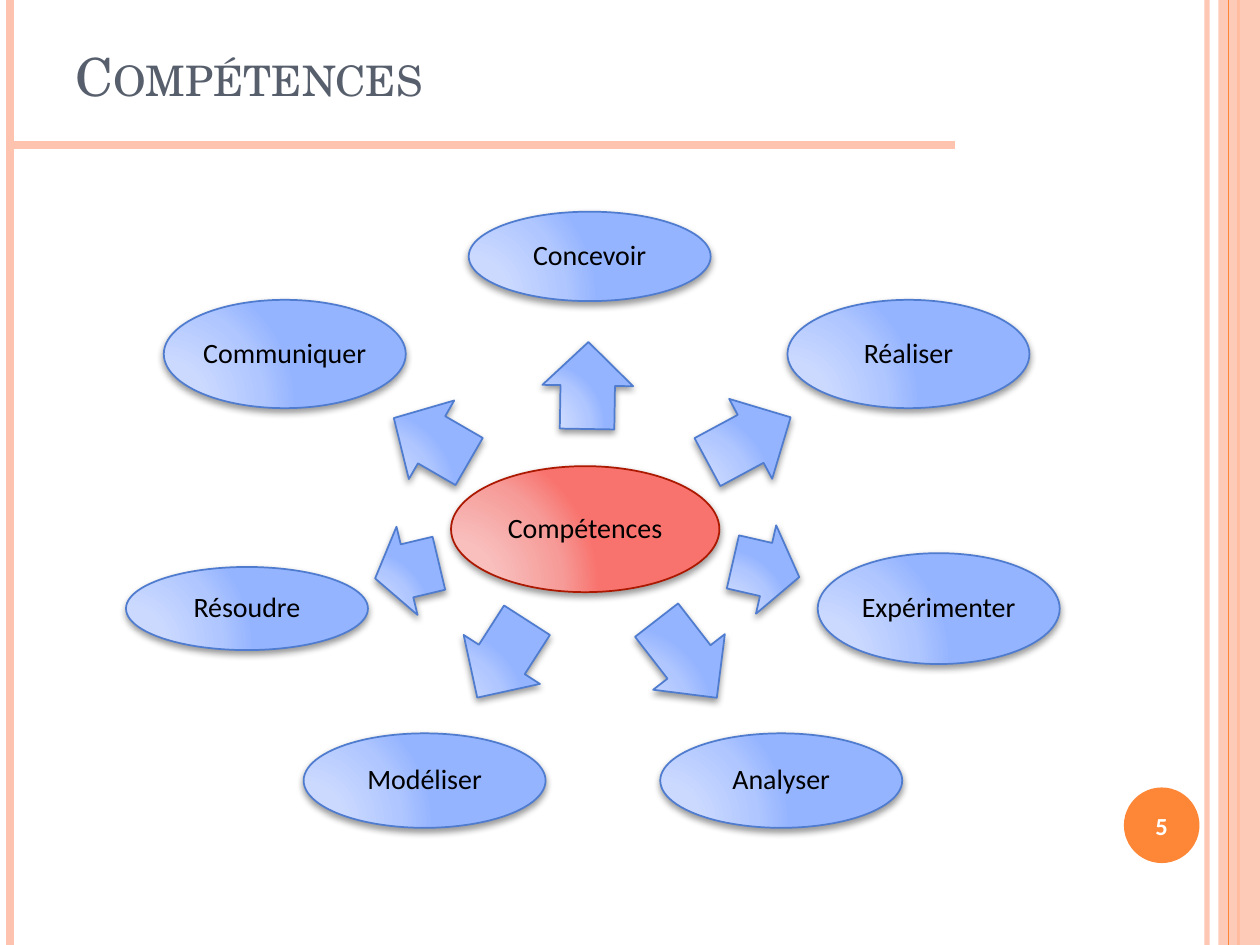
import pptx
import pptx.util
import pptx.dml.color
import pptx.enum.shapes
import pptx.enum.text
import pptx.oxml
import pptx.oxml.ns

SHAPE = pptx.enum.shapes.MSO_SHAPE
ALIGN = pptx.enum.text.PP_ALIGN
A_NS = 'xmlns:a="http://schemas.openxmlformats.org/drawingml/2006/main"'
qn = pptx.oxml.ns.qn

# The slide is a grid of 100 columns by 75 rows
COLUMNS, ROWS = 100, 75
CELL = pptx.util.Inches(0.1)

ORANGE, PEACH = "FE8637", "FEC3AE"
BLUE_STOPS = {0: "CFDCFF", 30: "CBD9FF", 75: "AFC6FF", 100: "95B4FF"}
RED_STOPS = {0: "F8C5C3", 30: "F8BFBD", 75: "F69B98", 100: "F8736E"}
BLUE_EDGE, RED_EDGE = "4F7CCF", "AC1800"

SKILL_WIDTH, ARROW_WIDTH = 19.2, 7.2
# name, (centre column, centre row, height), arrow (centre column, centre row, length, angle)
SKILLS = [
    ("Concevoir", (46.8, 20.35, 7.1), (46.65, 30.6, 6.9, 270.9)),
    ("Réaliser", (72.1, 28.1, 8.6), (59.45, 34.9, 7.5, 331.7)),
    ("Expérimenter", (74.5, 48.3, 8.8), (60.8, 45.2, 5.4, 12.9)),
    ("Analyser", (62, 61.95, 7.5), (54.5, 52.3, 7.8, 52.2)),
    ("Modéliser", (33.7, 61.95, 7.5), (39.85, 52.3, 7.3, 122.7)),
    ("Résoudre", (19.6, 48.3, 6.6), (32.3, 45.3, 5.2, 166.6)),
    ("Communiquer", (22.6, 28.1, 8.6), (34.25, 34.9, 6.9, 210)),
]


def cells(*counts):
    return [round(count * CELL) for count in counts]


def rgb(code):
    return pptx.dml.color.RGBColor.from_string(code)


def set_alpha(color_format_parent, percent):
    color = next(color_format_parent.iter(qn("a:srgbClr")))
    color.append(pptx.oxml.parse_xml(f'<a:alpha {A_NS} val="{percent * 1000}"/>'))


def add_rule(slide, start, end, color, width, alpha=None):
    rule = slide.shapes.add_connector(
        pptx.enum.shapes.MSO_CONNECTOR.STRAIGHT, *cells(*start, *end))
    rule.line.color.rgb = rgb(color)
    rule.line.width = pptx.util.Pt(width)
    properties = rule._element.spPr
    if alpha:
        set_alpha(properties, alpha)
    properties.append(pptx.oxml.parse_xml(f"<a:effectLst {A_NS}/>"))


def add_flat(slide, kind, box, color):
    flat = slide.shapes.add_shape(kind, *cells(*box))
    flat.shadow.inherit = False
    flat.fill.solid()
    flat.fill.fore_color.rgb = rgb(color)
    flat.line.fill.background()
    return flat


def add_glossy(slide, kind, centre, size, stops, edge):
    """Shape with a radial gradient, a thin edge and a soft shadow below."""
    (x, y), (width, height) = centre, size
    glossy = slide.shapes.add_shape(
        kind, *cells(x - width / 2, y - height / 2, width, height))
    glossy.line.color.rgb = rgb(edge)
    glossy.line.width = pptx.util.Pt(1)
    glossy.fill.gradient()
    properties = glossy._element.spPr
    stop_xml = "".join(
        f'<a:gs pos="{pos * 1000}"><a:srgbClr val="{color}"/></a:gs>'
        for pos, color in stops.items())
    properties.replace(properties.find(qn("a:gradFill")), pptx.oxml.parse_xml(
        f'<a:gradFill {A_NS} rotWithShape="0"><a:gsLst>{stop_xml}</a:gsLst>'
        '<a:path path="circle"><a:fillToRect l="5000" t="100000" r="120000" b="10000"/>'
        '</a:path></a:gradFill>'))
    glossy.shadow.inherit = False
    properties.find(qn("a:effectLst")).append(pptx.oxml.parse_xml(
        f'<a:outerShdw {A_NS} blurRad="50800" dist="25400" dir="5400000" rotWithShape="0">'
        '<a:srgbClr val="000000"><a:alpha val="40000"/></a:srgbClr></a:outerShdw>'))
    return glossy


def write(holder, text, size, color, font="Calibri", align=ALIGN.CENTER, inset=0.02):
    frame = holder.text_frame
    frame.text = text
    frame.word_wrap = True
    frame.vertical_anchor = pptx.enum.text.MSO_ANCHOR.MIDDLE
    frame.margin_left = frame.margin_right = pptx.util.Inches(inset)
    frame.margin_top = frame.margin_bottom = pptx.util.Inches(min(inset, 0.05))
    paragraph = frame.paragraphs[0]
    paragraph.alignment = align
    run = paragraph.runs[0]
    run.font.name = font
    run.font.size = pptx.util.Pt(size)
    run.font.color.rgb = rgb(color)
    return run


def add_bubble(slide, text, centre, size, stops, edge):
    bubble = add_glossy(slide, SHAPE.OVAL, centre, size, stops, edge)
    write(bubble, text, 16, "000000")
    bubble.text_frame.paragraphs[0].line_spacing = 0.9


def add_arrow(slide, centre, length, angle):
    arrow = add_glossy(slide, SHAPE.RIGHT_ARROW, centre, (length, ARROW_WIDTH),
                       BLUE_STOPS, BLUE_EDGE)
    arrow.adjustments[0], arrow.adjustments[1] = 0.6, 0.5
    arrow.rotation = angle


def add_frame(slide):
    def vertical(column, color, width, alpha=None):
        add_rule(slide, (column, 0), (column, ROWS), color, width, alpha)

    vertical(95.8, PEACH, 3, alpha=93)
    vertical(0.8, PEACH, 4.5)
    vertical(98.3, ORANGE, 1.5)
    band = add_flat(slide, SHAPE.RECTANGLE, (96.7, 0, 3.3, ROWS), PEACH)
    set_alpha(band._element.spPr, 87)
    vertical(97.5, ORANGE, 0.75)
    page_badge = add_flat(slide, SHAPE.OVAL, (89.2, 62.5, 6, 6), ORANGE)
    write(page_badge, "5", 14, "FFFFFF").font.bold = True
    add_rule(slide, (75.8, 11.5), (0.8, 11.5), PEACH, 4.5)


def add_title(slide, text):
    title = slide.shapes.add_textbox(*cells(5, 1.3, 81.7, 9.4))
    run = write(title, text, 30, "575F6D", "TeX Gyre Schola", ALIGN.LEFT, 0.1)
    run.font._element.set("cap", "small")


def main():
    deck = pptx.Presentation()
    deck.slide_width, deck.slide_height = cells(COLUMNS, ROWS)
    slide = deck.slides.add_slide(deck.slide_layouts[6])

    # Page frame and title
    add_frame(slide)
    add_title(slide, "Compétences")

    # Hub, with one arrow and one bubble for each skill
    add_bubble(slide, "Compétences", (46.45, 42), (21.3, 10), RED_STOPS, RED_EDGE)
    for name, (x, y, height), (arrow_x, arrow_y, length, angle) in SKILLS:
        add_arrow(slide, (arrow_x, arrow_y), length, angle)
        add_bubble(slide, name, (x, y), (SKILL_WIDTH, height), BLUE_STOPS, BLUE_EDGE)

    deck.save("out.pptx")


if __name__ == "__main__":
    main()
